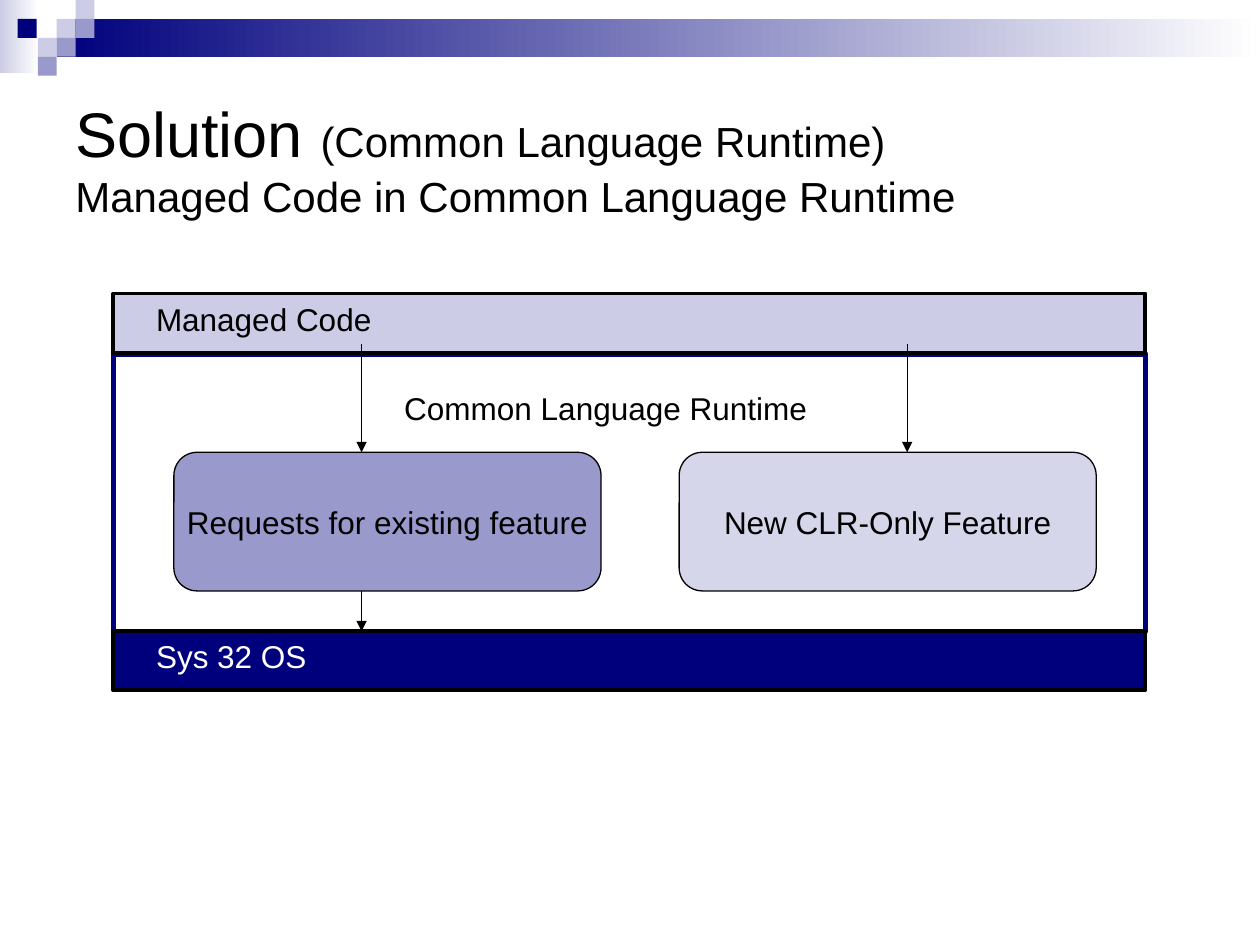
from pptx import Presentation
from pptx.dml.color import RGBColor
from pptx.enum.shapes import MSO_CONNECTOR, MSO_SHAPE
from pptx.enum.text import MSO_ANCHOR, PP_ALIGN
from pptx.oxml.ns import qn
from pptx.util import Inches, Pt
from lxml import etree

RECT = MSO_SHAPE.RECTANGLE
ROUNDED = MSO_SHAPE.ROUNDED_RECTANGLE
STRAIGHT = MSO_CONNECTOR.STRAIGHT
MIDDLE = MSO_ANCHOR.MIDDLE
LEFT, CENTER = PP_ALIGN.LEFT, PP_ALIGN.CENTER

NAVY = RGBColor(0x00, 0x00, 0x7D)
VIOLET = RGBColor(0x99, 0x99, 0xCC)
LAVENDER = RGBColor(0xCC, 0xCC, 0xE6)
PALE = RGBColor(0xD6, 0xD6, 0xEB)
BLACK = RGBColor(0x00, 0x00, 0x00)
WHITE = RGBColor(0xFF, 0xFF, 0xFF)

prs = Presentation()
prs.slide_width, prs.slide_height = Inches(10), Inches(7.5)
s = prs.slides.add_slide(prs.slide_layouts[6])


def add_box(kind, x, y, w, h, fill=None, line=None, width=0.75):
    sp = s.shapes.add_shape(kind, Inches(x), Inches(y), Inches(w), Inches(h))
    sp.shadow.inherit = False
    if fill is None:
        sp.fill.background()
    else:
        sp.fill.solid()
        sp.fill.fore_color.rgb = fill
    if line is None:
        sp.line.fill.background()
    else:
        sp.line.color.rgb = line
        sp.line.width = Pt(width)
    return sp


def add_run(p, text, size=18, color=BLACK):
    r = p.add_run()
    r.text = text
    r.font.name = "Arial"
    r.font.size = Pt(size)
    r.font.color.rgb = color


# Header: gradient bands
for x, y, w, h, start in [(0, 0, 0.31, 0.58, LAVENDER), (0.45, 0.15, 9.55, 0.3, NAVY)]:
    sp = add_box(RECT, x, y, w, h)
    sp.fill.gradient()
    sp.fill.gradient_angle = 0
    for stop, color, position in zip(sp.fill.gradient_stops, (start, WHITE), (0, 1)):
        stop.color.rgb = color
        stop.position = position

# Header: small squares
SQUARE = 0.15
for x, y, color in [
    (0.45, 0.15, LAVENDER), (0.6, 0, LAVENDER), (0.6, 0.15, VIOLET), (0.3, 0.3, LAVENDER),
    (0.14, 0.15, NAVY), (0.45, 0.3, VIOLET), (0.3, 0.45, VIOLET),
]:
    add_box(RECT, x, y, SQUARE, SQUARE, color)

# Title
tf = s.shapes.add_textbox(Inches(0.5), Inches(0.5), Inches(9), Inches(1.5)).text_frame
tf.word_wrap = True
tf.vertical_anchor = MIDDLE
p = tf.paragraphs[0]
add_run(p, "Solution ", 36)
add_run(p, "(Common Language Runtime)", 24)
p.add_line_break()
add_run(p, "Managed Code in Common Language Runtime", 24)

# Feature boxes
BOX_TOP, BOX_HEIGHT = 3.59, 1.1
for x, w, fill, text in [
    (1.38, 3.39, VIOLET, "Requests for existing feature"),
    (5.39, 3.31, PALE, "New CLR-Only Feature"),
]:
    sp = add_box(ROUNDED, x, BOX_TOP, w, BOX_HEIGHT, fill, BLACK)
    sp.adjustments[0] = 0.167
    tf = sp.text_frame
    tf.word_wrap = False
    tf.vertical_anchor = MIDDLE
    tf.paragraphs[0].alignment = CENTER
    add_run(tf.paragraphs[0], text)

# Layers: runtime frame, then the bars above and below it
LAYER_LEFT, LAYER_WIDTH = 0.9, 8.19
BAR_HEIGHT, BASE_TOP = 0.47, 5.01
for y, h, fill, line, width in [
    (2.81, 2.2, None, NAVY, 3),
    (2.33, BAR_HEIGHT, LAVENDER, BLACK, 2.25),
    (BASE_TOP, BAR_HEIGHT, NAVY, BLACK, 2.25),
]:
    add_box(RECT, LAYER_LEFT, y, LAYER_WIDTH, h, fill, line, width)

# Layer labels
for x, y, w, text, color in [
    (3.11, 3.04, 4.02, "Common Language Runtime", BLACK),
    (1.14, 2.33, 2.36, "Managed Code", BLACK),
    (1.14, BASE_TOP, 1.81, "Sys 32 OS", WHITE),
]:
    tf = s.shapes.add_textbox(Inches(x), Inches(y), Inches(w), Inches(0.4)).text_frame
    tf.word_wrap = True
    tf.paragraphs[0].alignment = LEFT
    add_run(tf.paragraphs[0], text, color=color)

# Arrows
for x, top, bottom in [
    (2.87, 2.73, BOX_TOP),
    (2.87, BOX_TOP + BOX_HEIGHT, BASE_TOP),
    (7.2, 2.73, BOX_TOP),
]:
    arrow = s.shapes.add_connector(STRAIGHT, Inches(x), Inches(top), Inches(x), Inches(bottom))
    arrow.line.color.rgb = BLACK
    arrow.line.width = Pt(0.75)
    etree.SubElement(arrow.line._get_or_add_ln(), qn("a:tailEnd"), type="triangle")
    etree.SubElement(arrow._element.spPr, qn("a:effectLst"))

prs.save("out.pptx")
